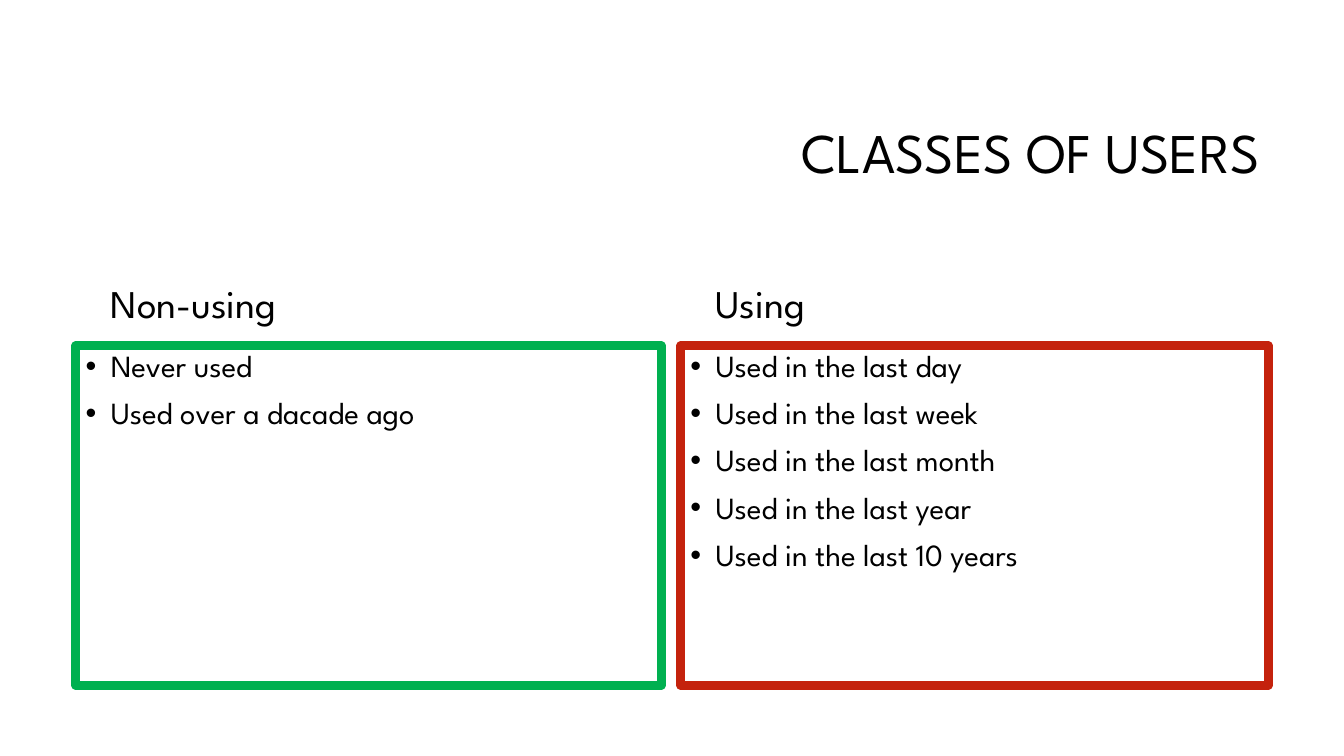
from pptx import Presentation
from pptx.dml.color import RGBColor
from pptx.enum.shapes import MSO_SHAPE
from pptx.enum.text import MSO_ANCHOR, PP_ALIGN
from pptx.oxml.ns import qn
from pptx.util import Inches, Pt
from lxml.etree import SubElement

BLACK = RGBColor(0x00, 0x00, 0x00)
GREEN = RGBColor(0x00, 0xB0, 0x50)
RED = RGBColor(0xC4, 0x22, 0x0D)


class ClassesPage:
    """Holds the text style and the slide being filled."""

    font = "League Spartan"
    indent = Inches(0.25)

    def __init__(self, page):
        self.page = page

    def fill_text(self, box, lines, size, anchor, align=PP_ALIGN.LEFT, before=10):
        frame = box.text_frame
        frame.word_wrap = True
        frame.vertical_anchor = anchor
        frame.text = "\n".join(lines)
        for para in frame.paragraphs:
            para.alignment = align
            para.line_spacing = 0.9
            para.space_before = Pt(before)
            for span in para.runs:
                span.font.name = self.font
                span.font.size = Pt(size)
                span.font.color.rgb = BLACK

    def text(self, line, left, top, width, height, size, anchor, **style):
        box = self.page.shapes.add_textbox(
            Inches(left), Inches(top), Inches(width), Inches(height))
        self.fill_text(box, [line], size, anchor, **style)

    def bullet_frame(self, lines, left, top, width, height, color):
        box = self.page.shapes.add_shape(
            MSO_SHAPE.RECTANGLE,
            Inches(left), Inches(top), Inches(width), Inches(height))
        box.shadow.inherit = False
        box.fill.background()
        box.line.color.rgb = color
        box.line.width = Pt(6)
        self.fill_text(box, lines, 22, MSO_ANCHOR.TOP)
        for para in box.text_frame.paragraphs:
            properties = para._p.get_or_add_pPr()
            properties.set("marL", str(self.indent))
            properties.set("indent", str(-self.indent))
            SubElement(properties, qn("a:buFont")).set("typeface", "Arial")
            SubElement(properties, qn("a:buChar")).set("char", "•")


def main():
    deck = Presentation()
    deck.slide_width, deck.slide_height = Inches(13.33), Inches(7.5)
    classes = ClassesPage(deck.slides.add_slide(deck.slide_layouts[6]))

    # Title
    classes.text("CLASSES OF USERS", 3.17, 0.83, 9.42, 1.42, 40,
                 MSO_ANCHOR.MIDDLE, align=PP_ALIGN.RIGHT, before=0)

    # User classes: heading, heading left, frame left, right edge, colour, items
    periods = ["day", "week", "month", "year", "10 years"]
    columns = [
        ("Non-using", 1, 0.75, 6.56, GREEN,
         ["Never used", "Used over a dacade ago"]),
        ("Using", 7, 6.75, 12.58, RED,
         [f"Used in the last {period}" for period in periods]),
    ]
    for heading, text_left, frame_left, right, color, items in columns:
        classes.text(heading, text_left, 2.39, right - text_left, 0.9, 28,
                     MSO_ANCHOR.BOTTOM)
        classes.bullet_frame(items, frame_left, 3.43, right - frame_left, 3.37,
                             color)

    deck.save("out.pptx")


if __name__ == "__main__":
    main()
